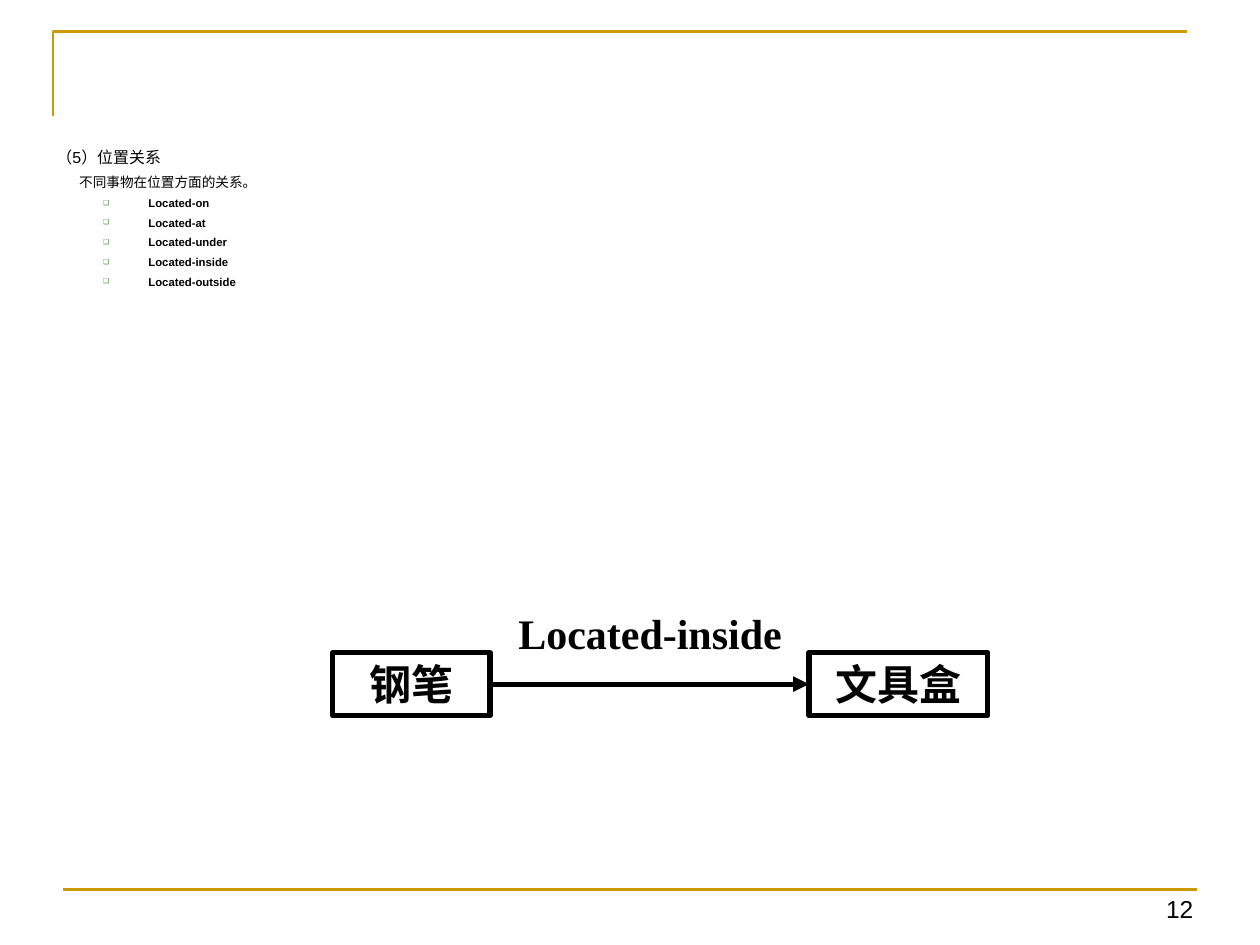
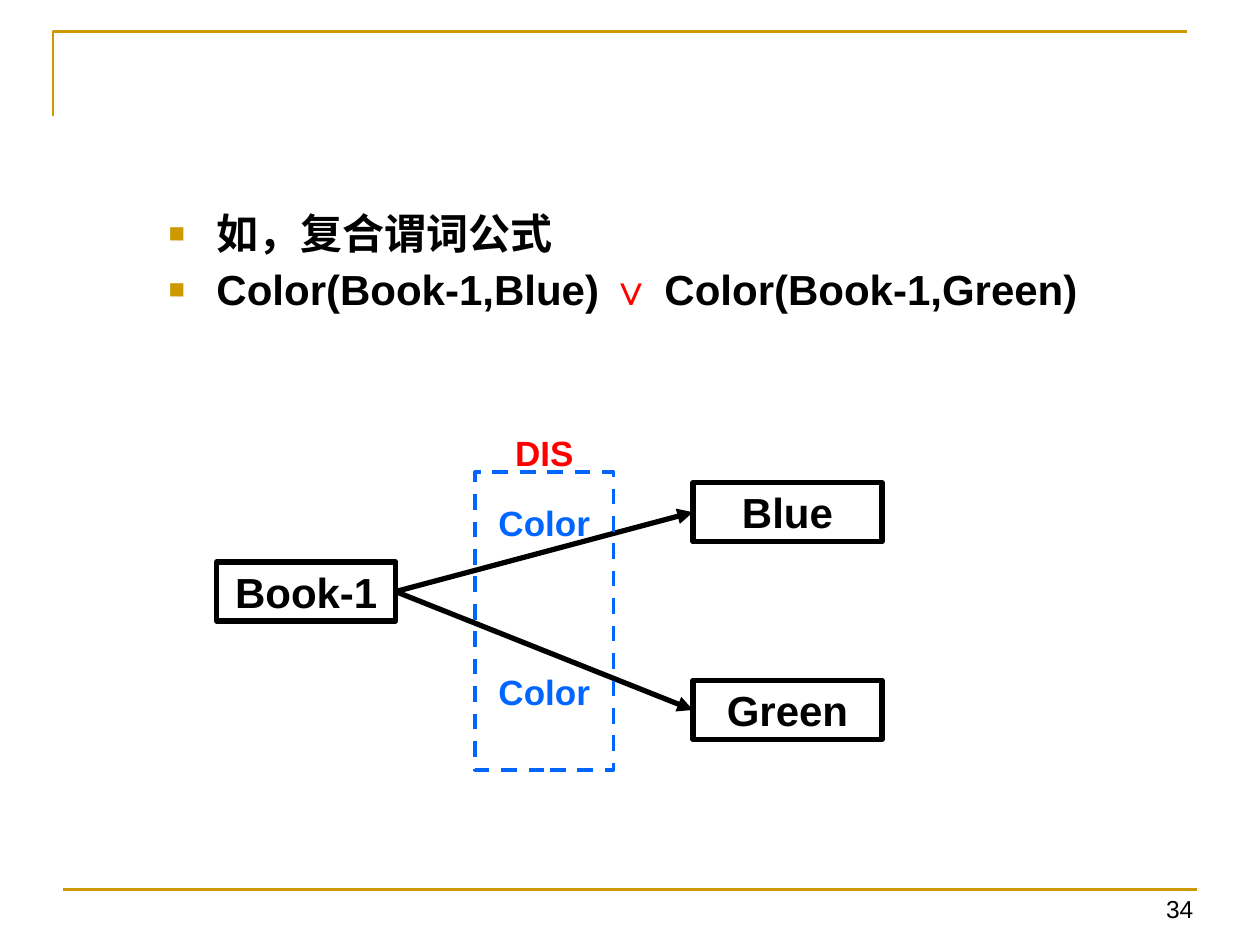
from dataclasses import dataclass

from lxml import etree
from pptx import Presentation
from pptx.dml.color import RGBColor
from pptx.enum.dml import MSO_LINE
from pptx.enum.shapes import MSO_CONNECTOR, MSO_SHAPE
from pptx.enum.text import MSO_ANCHOR, PP_ALIGN
from pptx.oxml.ns import qn
from pptx.util import Inches, Pt

RECTANGLE = MSO_SHAPE.RECTANGLE
STRAIGHT = MSO_CONNECTOR.STRAIGHT
DASH = MSO_LINE.DASH
MIDDLE, TOP = MSO_ANCHOR.MIDDLE, MSO_ANCHOR.TOP
LEFT, CENTER, RIGHT = PP_ALIGN.LEFT, PP_ALIGN.CENTER, PP_ALIGN.RIGHT
LEFT_SIDE, RIGHT_SIDE = 1, 3


@dataclass(frozen=True)
class Theme:
    sans: str = "Arial"
    serif: str = "Times New Roman"
    ink: str = "000000"
    gold: str = "CC9900"
    green: str = "3B812F"
    blue: str = "0066FF"
    red: str = "FF0000"
    number_size: float = 14
    node_size: float = 24
    label_size: float = 20
    rule_width: float = 1.5
    frame_width: float = 2.25
    node_width: float = 3


THEME = Theme()

# Paragraph levels: size, bold, left margin, indent, space before, bullet (sign, colour, percent)
LEVELS = {
    "heading": dict(size=9.1, bold=False, margin=0.38, indent=-0.38, before=7, bullet=None),
    "note": dict(size=7.8, bold=False, margin=0.18, indent=0, before=6, bullet=None),
    "relation": dict(size=6.5, bold=True, margin=0.73, indent=-0.36, before=5,
                     bullet=("❑", THEME.green, 60)),
    "formula": dict(size=24, bold=True, margin=1.12, indent=-0.38, before=6,
                    bullet=("■", THEME.gold, 65)),
}

RELATIONS = ["Located-on", "Located-at", "Located-under", "Located-inside", "Located-outside"]

# Boxes are (left, top, width, height); labels are (text, box, size, colour)
PAGES = [
    dict(
        number="12",
        font=THEME.serif,
        body_box=(0.35, 1.15, 9.07, 1.42),
        line_spacing=0.8,
        body=[("heading", [("（5）位置关系", THEME.ink)]),
              ("note", [("不同事物在位置方面的关系。", THEME.ink)])]
             + [("relation", [(name, THEME.ink)]) for name in RELATIONS],
        nodes={"钢笔": (2.64, 5.18, 1.25, 0.5), "文具盒": (6.42, 5.18, 1.42, 0.5)},
        arrows=[("钢笔", "文具盒")],
        labels=[("Located-inside", (3.98, 4.77, 2.36, 0.5), THEME.node_size, THEME.ink)],
        frame=None,
    ),
    dict(
        number="34",
        font=THEME.sans,
        body_box=(0.5, 1.64, 9, 3.15),
        line_spacing=0.9,
        body=[("formula", [("如，复合谓词公式", THEME.ink)]),
              ("formula", [("Color(Book-1,Blue) ", THEME.ink), ("∨ ", THEME.red),
                           ("Color(Book-1,Green)", THEME.ink)])],
        nodes={"Blue": (5.5, 3.83, 1.5, 0.47), "Green": (5.5, 5.4, 1.5, 0.47),
               "Book-1": (1.72, 4.46, 1.42, 0.47)},
        arrows=[("Book-1", "Green"), ("Book-1", "Blue")],
        labels=[(text, (3.69, top, 1.26, 0.47), THEME.label_size, color)
                for text, top, color in [("DIS", 3.36, THEME.red),
                                         ("Color", 3.91, THEME.blue),
                                         ("Color", 5.25, THEME.blue)]],
        frame=(3.77, 3.75, 1.1, 2.36),
    ),
]


def lengths(box):
    return [Inches(value) for value in box]


def style_line(line, color, width):
    line.color.rgb = RGBColor.from_string(color)
    line.width = Pt(width)


def add_span(para, text, font, size, color, bold):
    span = para.add_run()
    span.text = text
    span.font.name = font
    span.font.size = Pt(size)
    span.font.bold = bold
    span.font.color.rgb = RGBColor.from_string(color)


def write_line(shape, text, font, size, color=THEME.ink, bold=True, align=CENTER):
    """Put one unwrapped, vertically centred line of text in a shape."""
    frame = shape.text_frame
    frame.word_wrap = False
    frame.vertical_anchor = MIDDLE
    para = frame.paragraphs[0]
    para.alignment = align
    add_span(para, text, font, size, color, bold)


def add_label(page, box, text, font, size, **style):
    write_line(page.shapes.add_textbox(*lengths(box)), text, font, size, **style)


def add_outline(page, box, color, width):
    shape = page.shapes.add_shape(RECTANGLE, *lengths(box))
    shape.shadow.inherit = False
    shape.fill.background()
    style_line(shape.line, color, width)
    return shape


def add_line(page, start, end, color, width):
    line = page.shapes.add_connector(STRAIGHT, *lengths(start + end))
    style_line(line.line, color, width)
    etree.SubElement(line._element.spPr, qn("a:effectLst"))
    return line


def add_arrow(page, source, target):
    arrow = add_line(page, (0, 0), (1, 1), THEME.ink, THEME.node_width)
    arrow.begin_connect(source, RIGHT_SIDE)
    arrow.end_connect(target, LEFT_SIDE)
    etree.SubElement(arrow.line._get_or_add_ln(), qn("a:tailEnd"), type="triangle")


def add_bullet(properties, sign, color, percent):
    bullet_color = etree.SubElement(properties, qn("a:buClr"))
    etree.SubElement(bullet_color, qn("a:srgbClr"), val=color)
    etree.SubElement(properties, qn("a:buSzPct"), val=str(percent * 1000))
    etree.SubElement(properties, qn("a:buFont"), typeface=THEME.sans)
    etree.SubElement(properties, qn("a:buChar"), char=sign)


def add_body(page, box, paragraphs, line_spacing):
    frame = page.shapes.add_textbox(*lengths(box)).text_frame
    frame.word_wrap = True
    frame.vertical_anchor = TOP
    for index, (level_name, spans) in enumerate(paragraphs):
        level = LEVELS[level_name]
        para = frame.add_paragraph() if index else frame.paragraphs[0]
        para.alignment = LEFT
        para.line_spacing = line_spacing
        if index:
            para.space_before = Pt(level["before"])
        properties = para._p.get_or_add_pPr()
        properties.set("marL", str(Inches(level["margin"])))
        properties.set("indent", str(Inches(level["indent"])))
        if level["bullet"]:
            add_bullet(properties, *level["bullet"])
        for text, color in spans:
            add_span(para, text, THEME.sans, level["size"], color, level["bold"])


def add_page_furniture(page, number):
    """Draw the corner rule, the footer rule and the page number."""
    builder = page.shapes.build_freeform(Inches(0.42), Inches(0.92))
    builder.add_line_segments([lengths((0.42, 0.25)), lengths((9.42, 0.25))], close=False)
    corner = builder.convert_to_shape()
    corner.shadow.inherit = False
    corner.fill.background()
    style_line(corner.line, THEME.gold, THEME.rule_width)
    add_line(page, (0.5, 7.06), (9.5, 7.06), THEME.gold, THEME.rule_width)
    add_label(page, (8.55, 7.04, 1.02, 0.34), number, THEME.sans, THEME.number_size,
              bold=False, align=RIGHT)


def add_diagram(page, content):
    font = content["font"]
    nodes = {}
    for name, box in content["nodes"].items():
        nodes[name] = add_outline(page, box, THEME.ink, THEME.node_width)
        write_line(nodes[name], name, font, THEME.node_size)
    for source, target in content["arrows"]:
        add_arrow(page, nodes[source], nodes[target])
    if content["frame"]:
        frame = add_outline(page, content["frame"], THEME.blue, THEME.frame_width)
        frame.line.dash_style = DASH
    for text, box, size, color in content["labels"]:
        add_label(page, box, text, font, size, color=color)


def main():
    deck = Presentation()
    deck.slide_width, deck.slide_height = Inches(10), Inches(7.5)
    blank = deck.slide_layouts[6]
    for content in PAGES:
        page = deck.slides.add_slide(blank)
        add_page_furniture(page, content["number"])
        add_body(page, content["body_box"], content["body"], content["line_spacing"])
        add_diagram(page, content)
    deck.save("out.pptx")


if __name__ == "__main__":
    main()
